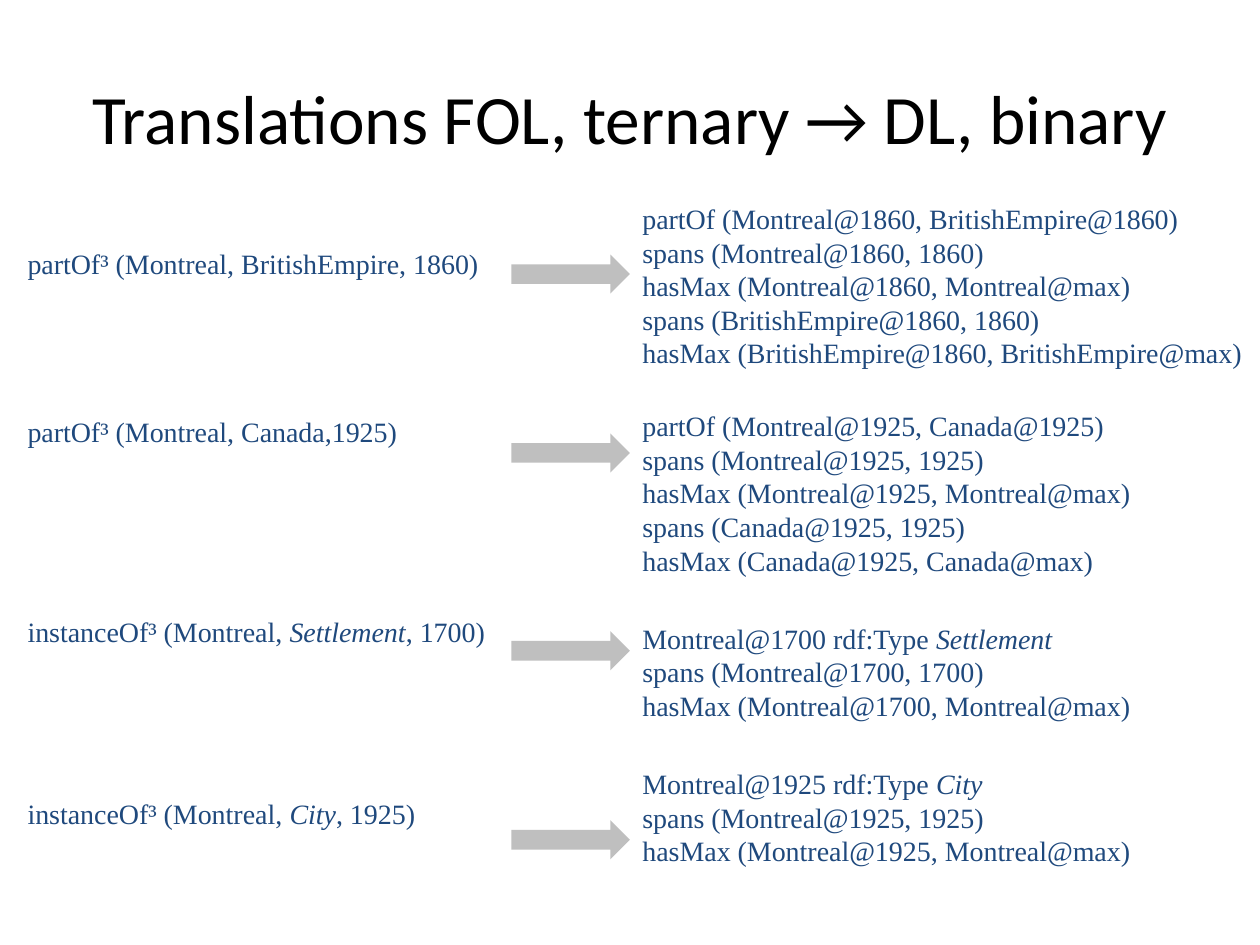
from dataclasses import dataclass

from pptx import Presentation
from pptx.dml.color import RGBColor
from pptx.enum.shapes import MSO_SHAPE
from pptx.enum.text import MSO_ANCHOR, PP_ALIGN
from pptx.util import Inches, Pt

ARROW = MSO_SHAPE.RIGHT_ARROW
MIDDLE, TOP = MSO_ANCHOR.MIDDLE, MSO_ANCHOR.TOP
CENTER, LEFT = PP_ALIGN.CENTER, PP_ALIGN.LEFT

WIDE, HIGH = 10, 7.5
COLORS = {"title": "000000", "body": "1F497D", "arrow": "BFBFBF"}
TITLE = {"name": "Calibri", "size": Pt(39.6)}
BODY = {"name": "Times New Roman", "size": Pt(16)}
PITCH = Pt(19.2)


@dataclass
class Box:
    """An area in inches."""
    left: float
    top: float
    width: float
    height: float

    def emu(self):
        return [Inches(n) for n in (self.left, self.top, self.width, self.height)]


@dataclass
class Rule:
    """One translation; asterisks enclose italics, gaps are points above."""
    source: str
    target: list[str]
    left_gap: float
    right_gap: float
    arrow_top: float


def part(whole: str, year: int) -> list[str]:
    return [f"partOf (Montreal@{year}, {whole}@{year})",
            *spans("Montreal", year), *spans(whole, year)]


def spans(name: str, year: int) -> list[str]:
    return [f"spans ({name}@{year}, {year})",
            f"hasMax ({name}@{year}, {name}@max)"]


def kind(name: str, year: int) -> list[str]:
    return [f"Montreal@{year} rdf:Type *{name}*", *spans("Montreal", year)]


RULES = [
    Rule("partOf³ (Montreal, BritishEmpire, 1860)",
         part("BritishEmpire", 1860), 0, 0, 2.02),
    Rule("partOf³ (Montreal, Canada,1925)",
         part("Canada", 1925), 76.8, 22.5, 3.44),
    Rule("instanceOf³ (Montreal, *Settlement*, 1700)",
         kind("Settlement", 1700), 95, 25.4, 5.01),
    Rule("instanceOf³ (Montreal, *City*, 1925)",
         kind("City", 1925), 84.8, 25.6, 6.51),
]


def add_frame(slide, box: Box, anchor=TOP):
    frame = slide.shapes.add_textbox(*box.emu()).text_frame
    frame.word_wrap = True
    frame.vertical_anchor = anchor
    return frame


def add_runs(para, line: str, style: dict, color: str) -> None:
    for i, piece in enumerate(line.split("*")):
        if not piece:
            continue
        run = para.add_run()
        run.text = piece
        for key, value in {**style, "italic": i % 2 == 1}.items():
            setattr(run.font, key, value)
        run.font.color.rgb = RGBColor.from_string(COLORS[color])


def add_column(slide, box: Box, blocks: list[tuple[list[str], float]]) -> None:
    frame = add_frame(slide, box)
    for i, (lines, gap) in enumerate(blocks):
        para = frame.add_paragraph() if i else frame.paragraphs[0]
        layout = {"alignment": LEFT, "line_spacing": PITCH, "space_before": Pt(gap)}
        for key, value in layout.items():
            setattr(para, key, value)
        for j, line in enumerate(lines):
            if j:
                para.add_line_break()
            add_runs(para, line, BODY, "body")


def add_arrow(slide, box: Box) -> None:
    arrow = slide.shapes.add_shape(ARROW, *box.emu())
    arrow.shadow.inherit = False
    arrow.fill.solid()
    arrow.fill.fore_color.rgb = RGBColor.from_string(COLORS["arrow"])
    arrow.line.fill.background()


def add_title(slide, text: str) -> None:
    box = Box(WIDE * 0.05, HIGH * 0.04, WIDE * 0.9, 1.25)
    para = add_frame(slide, box, MIDDLE).paragraphs[0]
    para.alignment = CENTER
    add_runs(para, text, TITLE, "title")


def main() -> None:
    deck = Presentation()
    deck.slide_width, deck.slide_height = Inches(WIDE), Inches(HIGH)
    slide = deck.slides.add_slide(deck.slide_layouts[6])
    half = WIDE / 2
    add_column(slide, Box(0.12, 1.91, 4.58, 4.51),
               [([r.source], r.left_gap) for r in RULES])
    add_column(slide, Box(half, 1.55, half, 5.54),
               [(r.target, r.right_gap) for r in RULES])
    for rule in RULES:
        add_arrow(slide, Box(4.06, rule.arrow_top, 0.94, 0.31))
    add_title(slide, "Translations FOL, ternary → DL, binary")
    deck.save("out.pptx")


if __name__ == "__main__":
    main()
